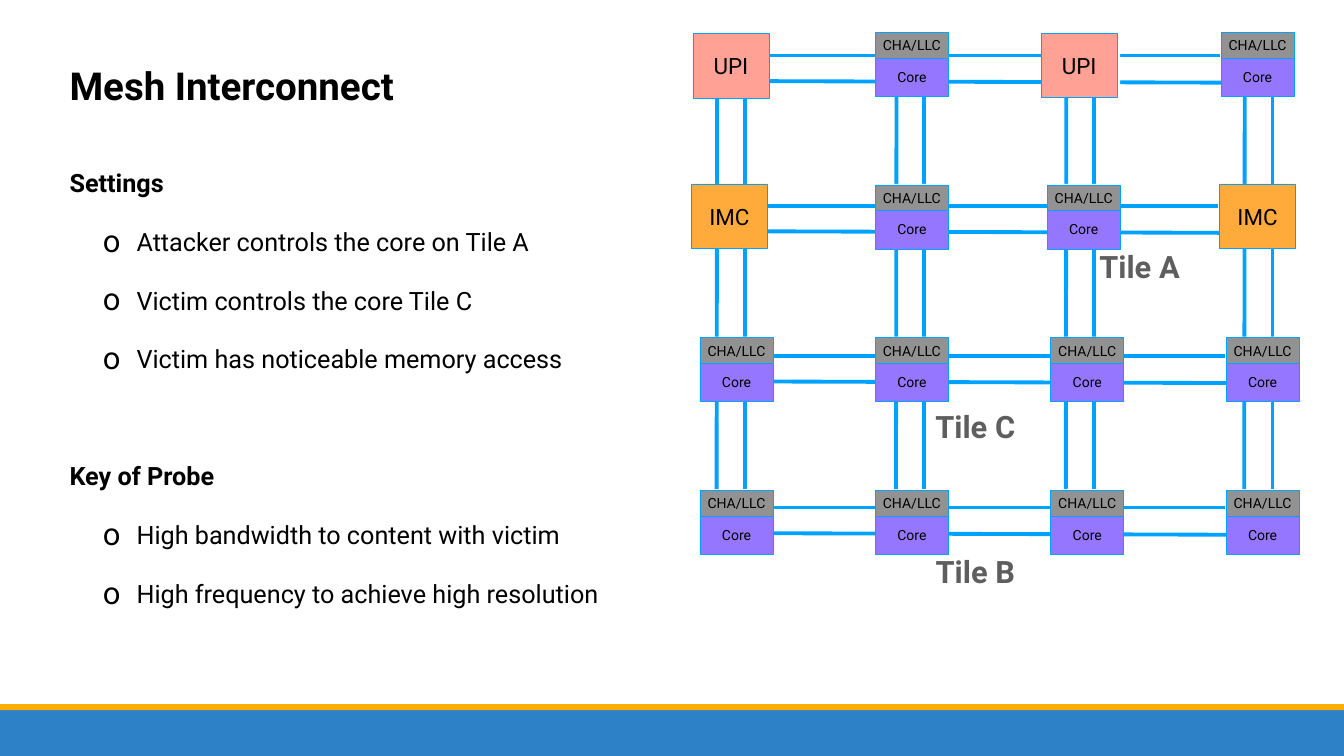
from lxml.etree import SubElement
from pptx import Presentation
from pptx.dml.color import RGBColor
from pptx.enum.shapes import MSO_CONNECTOR, MSO_SHAPE
from pptx.enum.text import MSO_ANCHOR, MSO_AUTO_SIZE, PP_ALIGN
from pptx.oxml.ns import qn
from pptx.util import Inches, Pt

BLACK = RGBColor(0x00, 0x00, 0x00)
WHITE = RGBColor(0xFF, 0xFF, 0xFF)
LINK_BLUE = RGBColor(0x00, 0xA2, 0xFF)
CORE_PURPLE = RGBColor(0x95, 0x77, 0xFF)
CACHE_GRAY = RGBColor(0x92, 0x92, 0x92)
IMC_ORANGE = RGBColor(0xFF, 0xAB, 0x3B)
UPI_PINK = RGBColor(0xFF, 0xA2, 0x95)
LABEL_GRAY = RGBColor(0x5E, 0x5E, 0x5E)
BAR_BLUE = RGBColor(0x2C, 0x81, 0xC7)
BAR_YELLOW = RGBColor(0xFE, 0xAD, 0x00)

FONT = "Roboto"
WIDTH, HEIGHT = 26.67, 15
MESH_LEFT, MESH_TOP = 13.89, 0.64
COLUMN_STEP, ROW_STEP = 3.48, 3.03

SECTIONS = [
    ("Settings", [
        "Attacker controls the core on Tile A",
        "Victim controls the core Tile C",
        "Victim has noticeable memory access",
    ]),
    ("Key of Probe", [
        "High bandwidth to content with victim",
        "High frequency to achieve high resolution",
    ]),
]

# (row, column): (text, fill, left, top)
CONTROLLERS = {
    (0, 0): ("UPI", UPI_PINK, 13.75, 0.67),
    (0, 2): ("UPI", UPI_PINK, 20.66, 0.66),
    (1, 0): ("IMC", IMC_ORANGE, 13.72, 3.65),
    (1, 3): ("IMC", IMC_ORANGE, 24.2, 3.65),
}
SHIFTED_TILES = {(0, 3): 24.23, (1, 2): 20.78}
ROW_LINKS = [(15.22, 24.2, 1.1), (15.19, 24.17, 4.08),
             (15.34, 24.31, 7.06), (15.34, 24.31, 10.07)]
COLUMN_LINKS = [14.22, 17.78, 21.15, 24.69]
TILE_LABELS = [("Tile A", 21.73, 4.86), ("Tile B", 18.47, 10.91),
               ("Tile C", 18.47, 8.04)]


def set_font(paragraph, size, color=BLACK, bold=False):
    font = paragraph.font
    font.name, font.size, font.bold = FONT, Pt(size), bold
    font.color.rgb = color


def set_frame(frame, anchor):
    frame.margin_left = frame.margin_right = Inches(0.06)
    frame.margin_top = frame.margin_bottom = Inches(0.06)
    frame.vertical_anchor = anchor


def place(placeholder, left, top, width, height):
    placeholder.left, placeholder.top = Inches(left), Inches(top)
    placeholder.width, placeholder.height = Inches(width), Inches(height)
    frame = placeholder.text_frame
    set_frame(frame, MSO_ANCHOR.TOP)
    frame.word_wrap = True
    frame.auto_size = MSO_AUTO_SIZE.NONE
    return frame


def set_bullet(paragraph, bulleted):
    """Give the paragraph a hanging "o", or remove the inherited bullet."""
    properties = paragraph._p.get_or_add_pPr()
    properties.set("marL", str(Inches(1.33 if bulleted else 0)))
    properties.set("indent", str(Inches(-0.67 if bulleted else 0)))
    if bulleted:
        SubElement(properties, qn("a:buSzPct"), val="123000")
        SubElement(properties, qn("a:buFont"), typeface=FONT)
        SubElement(properties, qn("a:buChar"), char="o")
    else:
        SubElement(properties, qn("a:buNone"))


def add_title(slide):
    frame = place(slide.shapes.title, 1.32, 1.18, 24.03, 1.57)
    heading = frame.paragraphs[0]
    heading.text = "Mesh Interconnect"
    heading.alignment = PP_ALIGN.LEFT
    set_font(heading, 55, bold=True)


def add_sections(slide):
    frame = place(slide.placeholders[1], 1.32, 3.33, 12.7, 9.54)
    for number, (heading, points) in enumerate(SECTIONS):
        for position, text in enumerate([heading] + points):
            is_point = position > 0
            first = number == 0 and not is_point
            paragraph = frame.paragraphs[0] if first else frame.add_paragraph()
            paragraph.text = text
            paragraph.level = int(is_point)
            paragraph.line_spacing = 0.9
            paragraph.space_before = Pt(0 if first else 45 if is_point else 128)
            set_bullet(paragraph, is_point)
            set_font(paragraph, 36, bold=not is_point)


def add_box(slide, left, top, width, height, fill, text="", size=20):
    """Draw a plain box, outlined only when it carries text."""
    box = slide.shapes.add_shape(MSO_SHAPE.RECTANGLE, Inches(left), Inches(top),
                                 Inches(width), Inches(height))
    box.shadow.inherit = False
    box.fill.solid()
    box.fill.fore_color.rgb = fill
    if not text:
        box.line.fill.background()
        return
    box.line.color.rgb = LINK_BLUE
    box.line.width = Pt(1)
    set_frame(box.text_frame, MSO_ANCHOR.MIDDLE)
    caption = box.text_frame.paragraphs[0]
    caption.text = text
    caption.alignment = PP_ALIGN.CENTER
    set_font(caption, size)


def add_link(slide, x1, y1, x2, y2):
    link = slide.shapes.add_connector(MSO_CONNECTOR.STRAIGHT, Inches(x1),
                                      Inches(y1), Inches(x2), Inches(y2))
    link.line.color.rgb = LINK_BLUE
    link.line.width = Pt(5.5)
    SubElement(link._element.spPr, qn("a:effectLst"))


def add_links(slide):
    for left, right, y in ROW_LINKS:
        add_link(slide, left, y, right, y)
        add_link(slide, left, y + 0.51, right + 0.03, y + 0.54)
    for x in COLUMN_LINKS:
        add_link(slide, x, 9.71, x + 0.01, 1.92)
        add_link(slide, x + 0.56, 9.71, x + 0.56, 1.92)


def add_backing(slide, left, top):
    """Hide the links behind a node."""
    add_box(slide, left + 0.07, top - 0.02, 1.31, 1.28, WHITE)


def add_core_tile(slide, left, top):
    add_backing(slide, left, top)
    add_box(slide, left, top + 0.49, 1.45, 0.78, CORE_PURPLE, "Core")
    add_box(slide, left, top, 1.45, 0.51, CACHE_GRAY, "CHA/LLC")


def add_mesh(slide):
    add_links(slide)
    for row in range(4):
        for column in range(4):
            cell = (row, column)
            left = SHIFTED_TILES.get(cell, MESH_LEFT + column * COLUMN_STEP)
            top = MESH_TOP + row * ROW_STEP
            if cell not in CONTROLLERS:
                add_core_tile(slide, left, top)
                continue
            text, fill, box_left, box_top = CONTROLLERS[cell]
            if text == "UPI":
                add_backing(slide, left, top)
            add_box(slide, box_left, box_top, 1.51, 1.28, fill, text, 32)


def add_tile_label(slide, text, left, top):
    label = slide.shapes.add_textbox(Inches(left), Inches(top),
                                     Inches(1.77), Inches(0.85))
    frame = label.text_frame
    set_frame(frame, MSO_ANCHOR.MIDDLE)
    frame.word_wrap = False
    caption = frame.paragraphs[0]
    caption.text = text
    caption.alignment = PP_ALIGN.CENTER
    set_font(caption, 44, LABEL_GRAY, bold=True)


def main():
    deck = Presentation()
    deck.slide_width, deck.slide_height = Inches(WIDTH), Inches(HEIGHT)
    slide = deck.slides.add_slide(deck.slide_layouts[1])
    add_title(slide)
    add_sections(slide)
    add_mesh(slide)
    for text, left, top in TILE_LABELS:
        add_tile_label(slide, text, left, top)
    add_box(slide, 0, 13.99, WIDTH, HEIGHT - 13.99, BAR_BLUE)
    add_box(slide, 0, 13.97, WIDTH, 0.12, BAR_YELLOW)
    deck.save("out.pptx")


if __name__ == "__main__":
    main()
